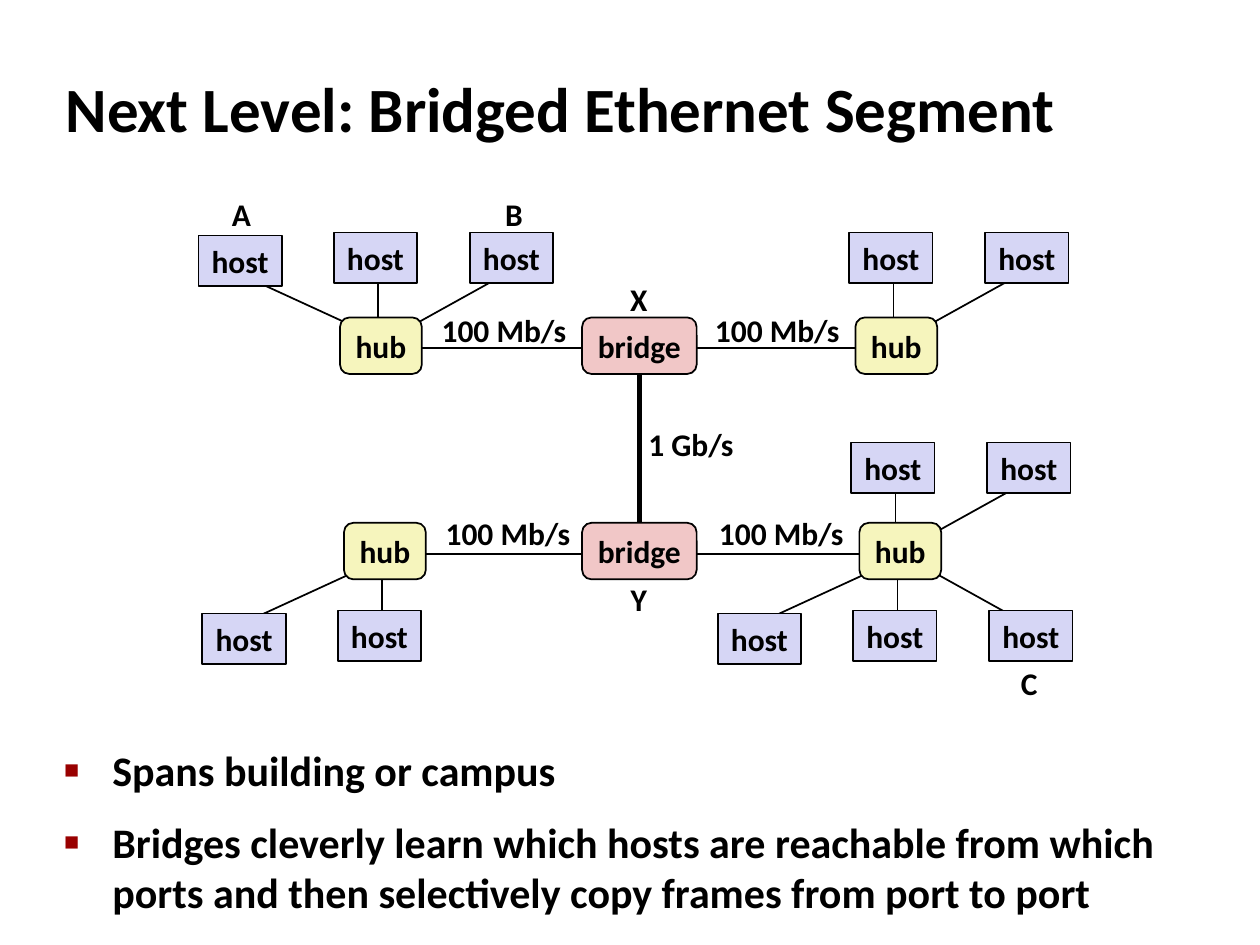
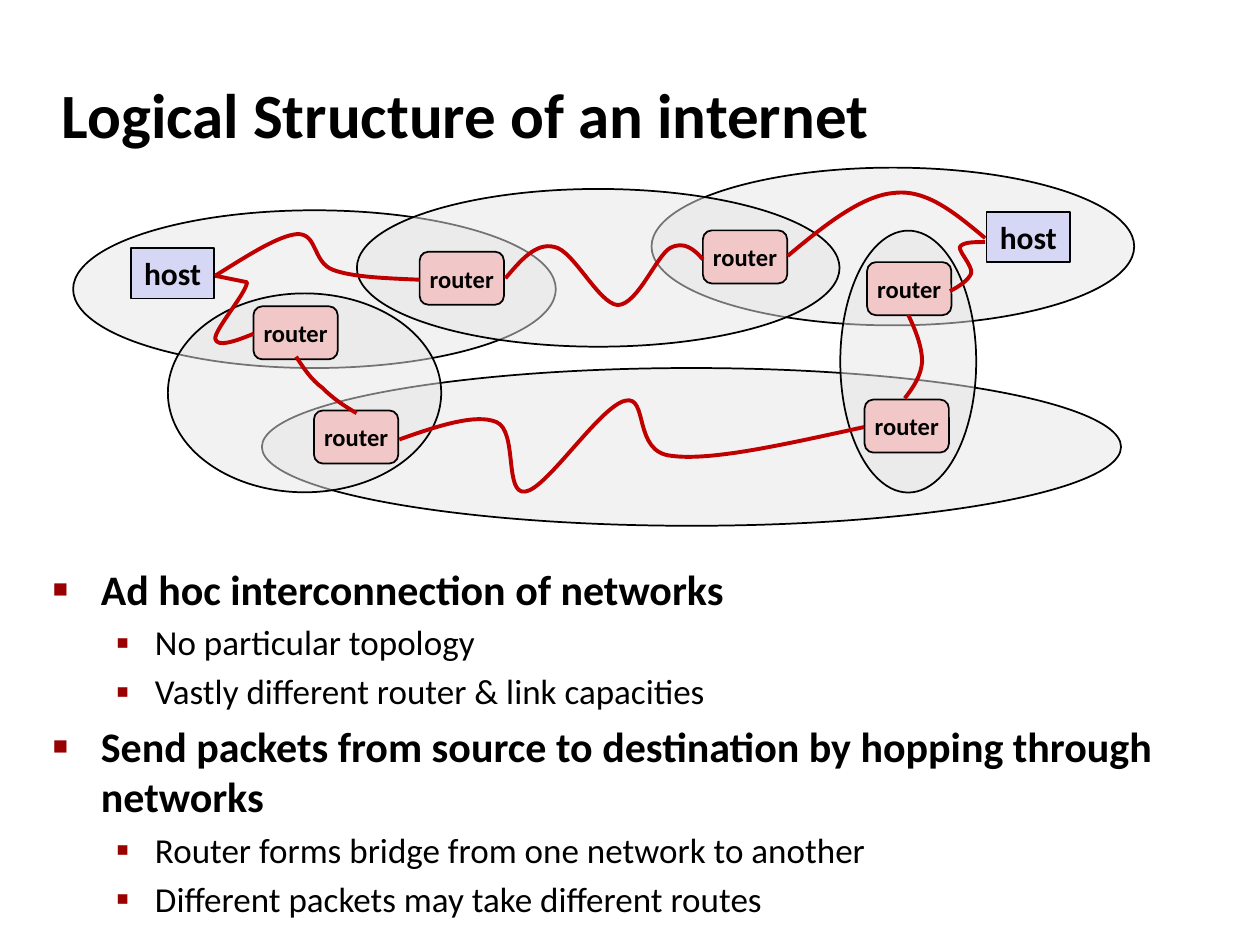
from lxml.etree import SubElement
from pptx import Presentation
from pptx.dml.color import RGBColor
from pptx.enum.shapes import MSO_CONNECTOR as Connector, MSO_SHAPE as Preset
from pptx.enum.text import MSO_ANCHOR as Anchor, MSO_AUTO_SIZE as AutoSize, PP_ALIGN as Align
from pptx.oxml.ns import qn
from pptx.util import Cm, Pt

BLACK = RGBColor(0x00, 0x00, 0x00)
BULLET_RED = RGBColor(0x99, 0x00, 0x00)
ROUTE_RED = RGBColor(0xC0, 0x00, 0x00)
HOST_BLUE = RGBColor(0xD6, 0xD6, 0xF5)
HUB_YELLOW = RGBColor(0xF6, 0xF5, 0xBD)
BRIDGE_PINK = RGBColor(0xF1, 0xC7, 0xC7)
CLOUD_GREY = RGBColor(0xE6, 0xE6, 0xE6)

NODES = {
    "host": (Preset.RECTANGLE, 1.68, 1.02, HOST_BLUE, 18),
    "hub": (Preset.ROUNDED_RECTANGLE, 1.65, 1.14, HUB_YELLOW, 18),
    "bridge": (Preset.ROUNDED_RECTANGLE, 2.31, 1.14, BRIDGE_PINK, 18),
    "router": (Preset.ROUNDED_RECTANGLE, 1.7, 1.07, BRIDGE_PINK, 14),
}

LEVELS = [
    {"char": "■", "percent": 60, "margin": 0.97, "hanging": 0.97, "size": 24, "bold": True},
    {"char": "▪", "percent": 110, "margin": 2.06, "hanging": 0.79, "size": 20, "bold": False},
]

SPOKES = {
    "left": {"host": (-2.84, 0.03), "near": (-0.48, 0.36), "far": -2.79},
    "middle": {"host": (-0.11, -0.03), "near": (-0.06, 0.58), "far": -0.06},
    "right": {"host": (2.63, -0.03), "near": (0.55, 0.36), "far": 2.46},
}
ABOVE, BELOW = -1, 1


class Deck:
    font_name = "Calibri"

    def __init__(self):
        self.presentation = Presentation()
        self.presentation.slide_width = Cm(25.4)
        self.presentation.slide_height = Cm(19.05)
        self.slide = None

    def add_slide(self):
        layout = self.presentation.slide_layouts[1]
        self.slide = self.presentation.slides.add_slide(layout)

    def set_font(self, paragraph, size, bold=True):
        font = paragraph.font
        font.name = self.font_name
        font.size = Pt(size)
        font.bold = bold
        font.color.rgb = BLACK

    def place(self, shape, left, top, width, height):
        shape.left, shape.top = Cm(left), Cm(top)
        shape.width, shape.height = Cm(width), Cm(height)
        shape.text_frame.auto_size = AutoSize.NONE

    def title(self, text, *bounds):
        shape = self.slide.shapes.title
        self.place(shape, *bounds)
        shape.text_frame.vertical_anchor = Anchor.MIDDLE
        paragraph = shape.text_frame.paragraphs[0]
        paragraph.text = text
        paragraph.alignment = Align.LEFT
        self.set_font(paragraph, 36)

    def bullets(self, items, *bounds):
        shape = self.slide.placeholders[1]
        self.place(shape, *bounds)
        frame = shape.text_frame
        frame.text = "\n".join(text for text, _, _ in items)
        for paragraph, (_, level, space_before) in zip(frame.paragraphs, items):
            style = LEVELS[level]
            paragraph.level = level
            self.add_bullet(paragraph, style)
            paragraph.space_before = Pt(space_before)
            self.set_font(paragraph, style["size"], style["bold"])
        return frame.paragraphs

    def add_bullet(self, paragraph, style):
        properties = paragraph._p.get_or_add_pPr()
        properties.set("marL", str(Cm(style["margin"])))
        properties.set("indent", str(-Cm(style["hanging"])))
        color = SubElement(properties, qn("a:buClr"))
        SubElement(color, qn("a:srgbClr"), val=str(BULLET_RED))
        SubElement(properties, qn("a:buSzPct"), val=str(style["percent"] * 1000))
        SubElement(properties, qn("a:buChar"), char=style["char"])

    def centred_text(self, shape, text, size):
        frame = shape.text_frame
        frame.word_wrap = False
        frame.vertical_anchor = Anchor.MIDDLE
        paragraph = frame.paragraphs[0]
        paragraph.text = text
        paragraph.alignment = Align.CENTER
        self.set_font(paragraph, size)

    def outlined(self, preset, x, y, width, height, fill):
        shape = self.slide.shapes.add_shape(
            preset, Cm(x - width / 2), Cm(y - height / 2), Cm(width), Cm(height))
        shape.shadow.inherit = False
        shape.fill.solid()
        shape.fill.fore_color.rgb = fill
        shape.line.color.rgb = BLACK
        shape.line.width = Pt(1)
        return shape

    def node(self, kind, x, y):
        preset, width, height, fill, size = NODES[kind]
        shape = self.outlined(preset, x, y, width, height, fill)
        self.centred_text(shape, kind, size)

    def cloud(self, x, y, width, height):
        shape = self.outlined(Preset.OVAL, x, y, width, height, CLOUD_GREY)
        color = shape.element.spPr.find(qn("a:solidFill"))[0]
        SubElement(color, qn("a:alpha"), val="50000")

    def label(self, text, x, y, width=0.87):
        height = 1.02
        box = self.slide.shapes.add_textbox(
            Cm(x - width / 2), Cm(y - height / 2), Cm(width), Cm(height))
        self.centred_text(box, text, 18)

    def link(self, x1, y1, x2, y2, width=1):
        line = self.slide.shapes.add_connector(
            Connector.STRAIGHT, Cm(x1), Cm(y1), Cm(x2), Cm(y2))
        line.line.color.rgb = BLACK
        line.line.width = Pt(width)
        SubElement(line.element.spPr, qn("a:effectLst"))

    def hosts_around(self, x, y, side, positions):
        for position in positions:
            spoke = SPOKES[position]
            near_x, near_y = spoke["near"]
            self.link(x + near_x, y + side * near_y, x + spoke["far"], y + side * 1.42)
            host_x, host_y = spoke["host"]
            self.node("host", x + host_x, y + side * 1.74 + host_y)

    def route(self, start, *points):
        builder = self.slide.shapes.build_freeform(Cm(start[0]), Cm(start[1]), scale=1.0)
        builder.add_line_segments([(Cm(x), Cm(y)) for x, y in points], close=False)
        shape = builder.convert_to_shape()
        shape.shadow.inherit = False
        shape.fill.background()
        shape.line.color.rgb = ROUTE_RED
        shape.line.width = Pt(2.25)
        segments = list(shape.element.iter(qn("a:lnTo")))
        outline = segments[0].getparent()
        for triple in zip(segments[::3], segments[1::3], segments[2::3]):
            curve = SubElement(outline, qn("a:cubicBezTo"))
            for segment in triple:
                curve.append(segment[0])
                outline.remove(segment)


def bridged_segment(deck):
    deck.add_slide()
    deck.title("Next Level: Bridged Ethernet Segment", 1.07, 1.37, 22.83, 1.6)
    paragraphs = deck.bullets([
        ("Spans building or campus", 0, 0),
        ("Bridges cleverly learn which hosts are reachable from which ports "
         "and then selectively copy frames from port to port", 0, 12),
    ], 1.04, 15.04, 23.09, 2.31)
    paragraphs[0].line_spacing = 0.85

    bridge_x = 12.89
    deck.link(bridge_x, 7.52, bridge_x, 10.57, width=3)
    deck.label("1 Gb/s", 13.93, 8.94, 2.26)

    for x, y, side, positions in [
        (7.68, 6.97, ABOVE, ["left", "middle", "right"]),
        (18.07, 6.97, ABOVE, ["middle", "right"]),
        (7.76, 11.11, BELOW, ["left", "middle"]),
        (18.11, 11.2, ABOVE, ["middle", "right"]),
        (18.15, 11.11, BELOW, ["left", "middle", "right"]),
    ]:
        deck.hosts_around(x, y, side, positions)

    for y, link_y, label_y, left_hub, right_hub in [
        (6.97, 7.01, 6.65, 7.68, 18.07),
        (11.11, 11.17, 10.74, 7.76, 18.15),
    ]:
        deck.link(left_hub, link_y, right_hub, link_y)
        deck.node("hub", left_hub, y)
        deck.node("hub", right_hub, y)
        deck.node("bridge", bridge_x, y)
        deck.label("100 Mb/s", left_hub + 2.48, label_y, 3.05)
        deck.label("100 Mb/s", right_hub - 2.4, label_y, 3.05)

    for letter, x, y in [
        ("A", 4.86, 4.32), ("B", 10.36, 4.32), ("C", 20.75, 13.77),
        ("X", 12.88, 6.02), ("Y", 12.88, 12.07),
    ]:
        deck.label(letter, x, y)


def logical_structure(deck):
    deck.add_slide()
    deck.title("Logical Structure of an internet", 0.99, 1.22, 21.08, 2.11)
    deck.bullets([
        ("Ad hoc interconnection of networks", 0, 0),
        ("No particular topology", 1, 4),
        ("Vastly different router & link capacities", 1, 4),
        ("Send packets from source to destination by hopping through networks", 0, 4.8),
        ("Router forms bridge from one network to another", 1, 4),
        ("Different packets may take different routes", 1, 4),
    ], 0.81, 11.23, 23.09, 5.84)

    for cloud in [
        (6.34, 5.83, 9.73, 3.18), (13.94, 9.01, 17.32, 3.18), (18, 4.97, 9.73, 3.18),
        (12.06, 5.4, 9.73, 3.18), (6.14, 7.92, 5.51, 4.01), (18.31, 7.29, 2.74, 5.28),
    ]:
        deck.cloud(*cloud)

    for x, y in [
        (5.96, 6.71), (7.18, 8.81), (9.31, 5.61),
        (15.02, 5.18), (18.28, 8.59), (18.33, 5.82),
    ]:
        deck.node("router", x, y)
    for x, y in [(20.73, 4.78), (3.48, 5.51)]:
        deck.node("host", x, y)

    for route in [
        [(4.34, 5.56), (4.34, 5.56), (4.98, 5.69), (4.98, 5.69),
         (4.98, 5.89), (4.32, 6.65), (4.34, 6.83),
         (4.37, 7.01), (4.75, 6.88), (5.11, 6.73)],
        [(4.34, 5.56), (4.98, 5.16), (5.61, 4.75), (5.99, 4.72),
         (6.4, 4.7), (6.3, 5.28), (6.71, 5.44),
         (7.11, 5.59), (7.8, 5.61), (8.46, 5.64)],
        [(5.97, 7.19), (6.12, 7.42), (6.27, 7.65), (6.5, 7.82),
         (6.71, 8.03), (6.93, 8.18), (7.19, 8.33)],
        [(10.19, 5.61), (10.49, 5.26), (10.8, 4.88), (11.18, 4.98),
         (11.56, 5.05), (12.07, 6.12), (12.45, 6.15),
         (12.85, 6.15), (13.23, 5.16), (13.51, 5),
         (13.79, 4.85), (14, 5.03), (14.17, 5.23)],
        [(15.88, 5.16), (16.61, 4.55), (17.37, 3.94), (18.03, 3.89),
         (18.69, 3.81), (19.28, 4.32), (19.86, 4.8)],
        [(8.05, 8.86), (8.81, 8.59), (9.6, 8.33), (10.01, 8.51),
         (10.44, 8.69), (10.16, 9.98), (10.59, 9.91),
         (11.02, 9.86), (12.09, 8.2), (12.6, 8.08),
         (13.08, 7.95), (12.75, 9.12), (13.54, 9.19),
         (14.35, 9.3), (15.9, 8.94), (17.42, 8.61)],
        [(18.24, 8.03), (18.42, 7.8), (18.57, 7.57), (18.59, 7.29),
         (18.59, 7.01), (18.47, 6.68), (18.31, 6.35)],
        [(19.15, 5.87), (19.35, 5.77), (19.53, 5.64), (19.58, 5.51),
         (19.61, 5.36), (19.33, 5.08), (19.35, 4.98),
         (19.41, 4.88), (19.63, 4.88), (19.86, 4.88)],
    ]:
        deck.route(*route)


def main():
    deck = Deck()
    bridged_segment(deck)
    logical_structure(deck)
    deck.presentation.save("out.pptx")


if __name__ == "__main__":
    main()
